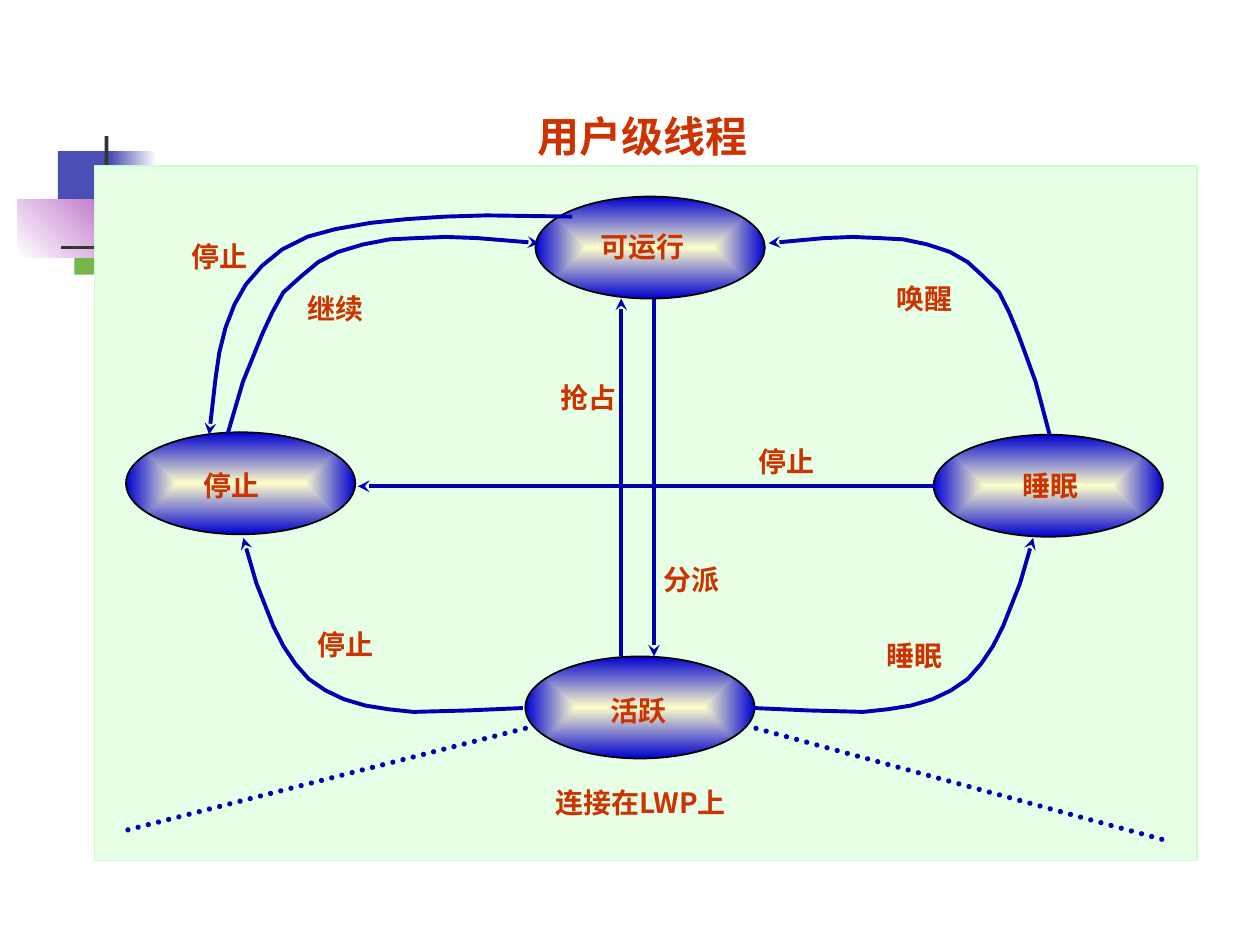
"""Build a slide showing the state diagram of user-level threads."""
from dataclasses import dataclass

from lxml.etree import SubElement
from pptx import Presentation
from pptx.dml.color import RGBColor
from pptx.enum.dml import MSO_LINE
from pptx.enum.shapes import MSO_CONNECTOR, MSO_SHAPE
from pptx.enum.text import MSO_ANCHOR, MSO_AUTO_SIZE, PP_ALIGN
from pptx.oxml.ns import qn
from pptx.util import Pt


@dataclass(frozen=True)
class Theme:
    font: str = "Noto Sans CJK SC"
    title_size: int = 24
    label_size: int = 16
    text: str = "CC3300"
    arrow: str = "0000B2"
    arrow_width: float = 2.25
    dotted_width: float = 3
    panel: str = "E7FFE7"
    panel_edge: str = "CCFFCC"
    state_center: str = "FFFFCC"
    state_rim: str = "0000D0"
    state_edge: str = "000000"
    blue: str = "4B4EB5"
    green: str = "76B749"
    violet: str = "C481CF"
    dark: str = "333333"
    white: str = "FFFFFF"


THEME = Theme()

TITLE = ("用户级线程", (300.2, 59.8, 138.2, 36))
CAPTION = ("连接在LWP上", (306, 445, 120.2, 26.6))
PANEL = (54, 95, 630, 396.7)

DECORATIONS = [
    ((33.1, 86.4, 34.6, 37.4), (THEME.blue,), 0),
    ((63.4, 86.4, 25.9, 37.4), (THEME.blue, THEME.white), 0),
    ((42.5, 119.5, 33.1, 37.4), (THEME.green,), 0),
    ((10.1, 113.8, 43.9, 33.1), (THEME.white, THEME.violet), 45),
    ((59.8, 77.8, 2.2, 82.8), (THEME.dark,), 0),
    ((34.6, 140.4, 648, 2.2), (THEME.dark, THEME.white), 0),
]

STATE_SIZE = (131, 58.3)
STATES = [(72, 247), (306, 112.3), (533.5, 248.4), (300.2, 375.1)]

LABEL_HEIGHT = 26.6
LABELS = [
    ("可运行", 336.2, 127.4),
    ("停止", 109.4, 264.2),
    ("睡眠", 577.4, 264.2),
    ("活跃", 342, 392.4),
    ("分派", 372.2, 317.5),
    ("唤醒", 505.4, 157),
    ("继续", 168.5, 162.7),
    ("抢占", 313.2, 213.8),
    ("睡眠", 499.7, 361.4),
    ("停止", 102.2, 133.2),
    ("停止", 426.2, 250.6),
    ("停止", 174.2, 355),
]

STRAIGHT_ARROWS = [
    ((355, 375.1), (355, 170.6)),
    ((373.7, 170.6), (373.7, 375.1)),
    ((533.5, 277.9), (204.5, 277.9)),
]
DOTTED_LINES = [
    ((300.2, 416.2), (72, 474.5)),
    ((432, 416.2), (666, 480.2)),
]

LOWER_CURVE = [
    (0, 0), (31.7, 1.4), (62.6, 2.2), (76.7, 0.7), (90, -1.4), (102.2, -5), (112.7, -10),
    (122.4, -16.6), (130, -25.2), (136.8, -35.3), (142.6, -46.8), (152.3, -71.3), (159.8, -97.2),
]
UPPER_CURVE = [
    (0, 0), (31.7, -2.9), (48.2, -3.6), (63.4, -2.9), (77, -2.2), (90.7, 0.7), (103.7, 5),
    (113.8, 10.8), (122.4, 18.7), (131.8, 28.1), (137.5, 39.6), (142.6, 51.8), (147.6, 65.5),
    (152.6, 79.2), (160.6, 109.4),
]
OUTER_CURVE = [
    (0, 0), (49, -0.7), (72, 0), (94.3, 1.4), (115.2, 3.6), (135.4, 7.2), (151.2, 11.5),
    (165.6, 18.7), (177.1, 28.1), (186.5, 38.9), (193, 50.4), (198, 63.4), (201.6, 77.8),
    (203.8, 92.9), (207.4, 124.6),
]
CURVED_ARROWS = [
    (LOWER_CURVE, (298.8, 404.6), -1, "tailEnd"),
    (LOWER_CURVE, (430.6, 404.6), 1, "tailEnd"),
    (UPPER_CURVE, (439.2, 139), 1, "headEnd"),
    (UPPER_CURVE, (308.2, 139), -1.11, "headEnd"),
    (OUTER_CURVE, (326.9, 123.8), -1, "tailEnd"),
]


def color(value):
    return RGBColor.from_string(value)


def points(values):
    return [Pt(value) for value in values]


def paint(shape, colors, angle=0):
    if len(colors) == 1:
        shape.fill.solid()
        shape.fill.fore_color.rgb = color(colors[0])
        return
    shape.fill.gradient()
    shape.fill.gradient_angle = angle
    for stop, value in zip(shape.fill.gradient_stops, colors):
        stop.color.rgb = color(value)


def radiate_from_center(shape):
    gradient = shape.element.spPr.find(qn("a:gradFill"))
    gradient.remove(gradient.find(qn("a:lin")))
    rectangle = SubElement(gradient, qn("a:path"), path="rect")
    SubElement(rectangle, qn("a:fillToRect"), dict.fromkeys("ltrb", "50000"))


def add_filled(slide, kind, box, colors, angle=0, edge=None):
    shape = slide.shapes.add_shape(kind, *points(box))
    shape.shadow.inherit = False
    paint(shape, colors, angle)
    if edge:
        shape.line.color.rgb = color(edge)
        shape.line.width = Pt(1)
    else:
        shape.line.fill.background()
    return shape


def style_line(shape, width, arrow_end=None):
    shape.line.color.rgb = color(THEME.arrow)
    shape.line.width = Pt(width)
    if arrow_end:
        SubElement(shape.line._get_or_add_ln(), qn(f"a:{arrow_end}"), type="stealth")


def add_straight(slide, start, end, width, arrow_end=None):
    connector = slide.shapes.add_connector(MSO_CONNECTOR.STRAIGHT, *points(start + end))
    style_line(connector, width, arrow_end)
    SubElement(connector.element.spPr, qn("a:effectLst"))
    return connector


def add_curve(slide, offsets, start, stretch, arrow_end):
    left, top = start
    vertices = [points((left + x * stretch, top + y)) for x, y in offsets]
    builder = slide.shapes.build_freeform(*vertices[0], scale=1.0)
    builder.add_line_segments(vertices[1:], close=False)
    curve = builder.convert_to_shape()
    curve.shadow.inherit = False
    curve.fill.background()
    style_line(curve, THEME.arrow_width, arrow_end)


def write_text(shape, text, size, alignment=PP_ALIGN.LEFT):
    frame = shape.text_frame
    frame.word_wrap = False
    frame.auto_size = MSO_AUTO_SIZE.NONE
    frame.vertical_anchor = MSO_ANCHOR.MIDDLE
    frame.margin_left = frame.margin_right = Pt(7.2)
    frame.margin_top = frame.margin_bottom = Pt(3.6)
    paragraph = frame.paragraphs[0]
    paragraph.alignment = alignment
    run = paragraph.add_run()
    run.text = text
    run.font.name = THEME.font
    run.font.size = Pt(size)
    run.font.bold = True
    run.font.color.rgb = color(THEME.text)
    SubElement(run.font._element, qn("a:ea"), typeface=THEME.font)


def main():
    presentation = Presentation()
    presentation.slide_width, presentation.slide_height = Pt(720), Pt(540)
    slide = presentation.slides.add_slide(presentation.slide_layouts[5])

    for box, colors, angle in DECORATIONS:
        add_filled(slide, MSO_SHAPE.RECTANGLE, box, colors, angle)
    add_filled(slide, MSO_SHAPE.RECTANGLE, PANEL, (THEME.panel,), edge=THEME.panel_edge)

    for position in STATES:
        state = add_filled(slide, MSO_SHAPE.OVAL, position + STATE_SIZE,
                           (THEME.state_center, THEME.state_rim), edge=THEME.state_edge)
        radiate_from_center(state)

    for start, end in STRAIGHT_ARROWS:
        add_straight(slide, start, end, THEME.arrow_width, "tailEnd")
    for curve in CURVED_ARROWS:
        add_curve(slide, *curve)
    for start, end in DOTTED_LINES:
        dotted = add_straight(slide, start, end, THEME.dotted_width)
        dotted.line.dash_style = MSO_LINE.ROUND_DOT
        dotted.line._get_or_add_ln().set("cap", "rnd")

    for text, left, top in LABELS:
        width = len(text) * THEME.label_size + 14.4
        label = slide.shapes.add_textbox(*points((left, top, width, LABEL_HEIGHT)))
        write_text(label, text, THEME.label_size)

    text, box = CAPTION
    caption = slide.shapes.add_textbox(*points(box))
    write_text(caption, text, THEME.label_size, PP_ALIGN.CENTER)

    text, box = TITLE
    title = slide.shapes.title
    title.left, title.top, title.width, title.height = points(box)
    write_text(title, text, THEME.title_size)

    presentation.save("out.pptx")


if __name__ == "__main__":
    main()
